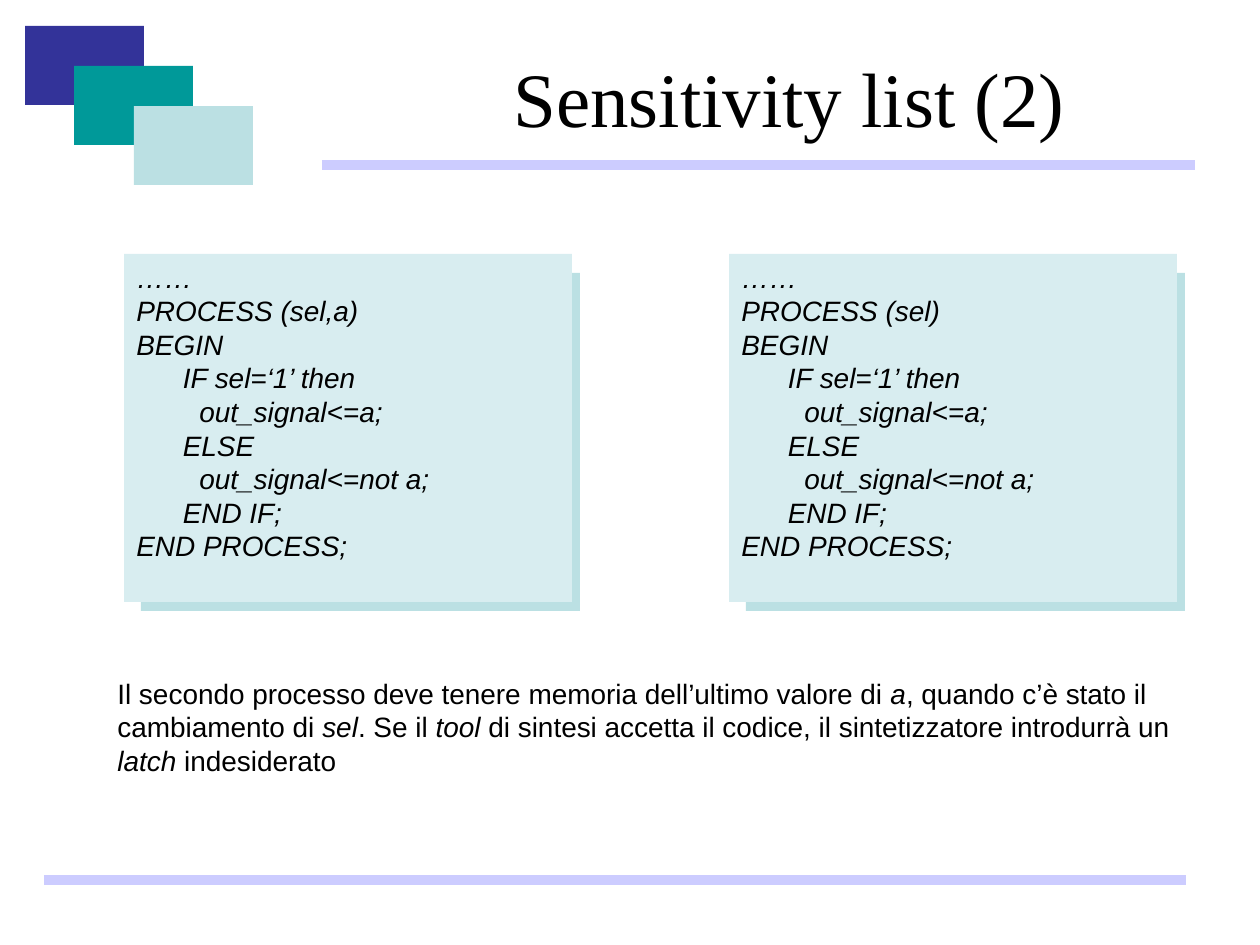
"""Build the "Sensitivity list (2)" slide comparing two VHDL processes."""
from dataclasses import dataclass

from lxml import etree
from pptx import Presentation
from pptx.dml.color import RGBColor
from pptx.enum.shapes import MSO_CONNECTOR, MSO_SHAPE
from pptx.enum.text import MSO_ANCHOR, PP_ALIGN
from pptx.oxml.ns import qn
from pptx.shapes.shapetree import GroupShapes, SlideShapes
from pptx.text.text import TextFrame, _Paragraph
from pptx.util import Emu, Pt

RECTANGLE = MSO_SHAPE.RECTANGLE
STRAIGHT = MSO_CONNECTOR.STRAIGHT
TOP, MIDDLE = MSO_ANCHOR.TOP, MSO_ANCHOR.MIDDLE
CENTER = PP_ALIGN.CENTER

BLACK = RGBColor(0x00, 0x00, 0x00)
NAVY = RGBColor(0x33, 0x33, 0x99)
TEAL = RGBColor(0x00, 0x99, 0x99)
AQUA = RGBColor(0xBB, 0xE0, 0xE3)
PALE_AQUA = RGBColor(0xD8, 0xED, 0xF0)
LAVENDER = RGBColor(0xCC, 0xCC, 0xFF)

PX_PER_INCH = 126
SANS, SERIF = "Arial", "Times New Roman"
PANEL_TOP = 254


@dataclass(frozen=True)
class Area:
    left: int
    top: int
    width: int
    height: int


@dataclass(frozen=True)
class Block:
    area: Area
    color: RGBColor


@dataclass(frozen=True)
class Rule:
    left: int
    right: int
    y: int


@dataclass(frozen=True)
class CodePanel:
    left: int
    sensitivity: str


@dataclass(frozen=True)
class Span:
    text: str
    italic: bool = False


CORNER_BLOCKS = [
    Block(Area(25, 26, 119, 79), NAVY),
    Block(Area(74, 66, 119, 79), TEAL),
    Block(Area(134, 106, 119, 79), AQUA),
]
RULES = [Rule(322, 1195, 165), Rule(44, 1186, 880)]
CODE_PANELS = [CodePanel(124, "sel,a"), CodePanel(729, "sel")]
TITLE_AREA = Area(382, 38, 815, 117)
NOTE_AREA = Area(105, 670, 1111, 113)
NOTE = [
    Span("Il secondo processo deve tenere memoria dell’ultimo valore di "),
    Span("a", True),
    Span(", quando c’è stato il cambiamento di "),
    Span("sel", True),
    Span(". Se il "),
    Span("tool", True),
    Span(" di sintesi accetta il codice, il sintetizzatore introdurrà un "),
    Span("latch", True),
    Span(" indesiderato"),
]


def px(length: int) -> Emu:
    return Emu(round(length * 914400 / PX_PER_INCH))


def place(area: Area) -> tuple[Emu, Emu, Emu, Emu]:
    return px(area.left), px(area.top), px(area.width), px(area.height)


def draw_block(shapes: SlideShapes | GroupShapes, block: Block) -> None:
    box = shapes.add_shape(RECTANGLE, *place(block.area))
    box.shadow.inherit = False
    box.fill.solid()
    box.fill.fore_color.rgb = block.color
    box.line.fill.background()


def draw_rule(shapes: SlideShapes, rule: Rule) -> None:
    line = shapes.add_connector(
        STRAIGHT, px(rule.left), px(rule.y), px(rule.right), px(rule.y))
    line.line.color.rgb = LAVENDER
    line.line.width = Pt(6)
    etree.SubElement(line._element.spPr, qn("a:effectLst"))


def add_text_frame(shapes: SlideShapes | GroupShapes, area: Area,
                   anchor: MSO_ANCHOR = TOP) -> TextFrame:
    frame = shapes.add_textbox(*place(area)).text_frame
    frame.word_wrap = True
    frame.vertical_anchor = anchor
    return frame


def add_span(para: _Paragraph, span: Span, font: str = SANS, size: int = 16) -> None:
    run = para.add_run()
    run.text = span.text
    run.font.name = font
    run.font.size = Pt(size)
    run.font.italic = span.italic
    run.font.color.rgb = BLACK


def code_lines(sensitivity: str) -> list[str]:
    return [
        "……",
        f"PROCESS ({sensitivity})",
        "BEGIN",
        "      IF sel=‘1’ then",
        "\tout_signal<=a;",
        "      ELSE",
        "\tout_signal<=not a;",
        "      END IF;",
        "END PROCESS;",
    ]


def draw_code_panel(shapes: SlideShapes, panel: CodePanel) -> None:
    group = shapes.add_group_shape().shapes
    draw_block(group, Block(Area(panel.left + 17, PANEL_TOP + 19, 439, 338), AQUA))
    draw_block(group, Block(Area(panel.left, PANEL_TOP, 448, 348), PALE_AQUA))
    frame = add_text_frame(group, Area(panel.left, PANEL_TOP, 437, 315))
    for index, line in enumerate(code_lines(panel.sensitivity)):
        para = frame.add_paragraph() if index else frame.paragraphs[0]
        add_span(para, Span(line, True))


def main() -> None:
    deck = Presentation()
    deck.slide_width, deck.slide_height = px(1260), px(945)
    page = deck.slides.add_slide(deck.slide_layouts[6])
    shapes = page.shapes

    title = add_text_frame(shapes, TITLE_AREA, MIDDLE).paragraphs[0]
    title.alignment = CENTER
    add_span(title, Span("Sensitivity list (2)"), SERIF, 44)

    for block in CORNER_BLOCKS:
        draw_block(shapes, block)
    for rule in RULES:
        draw_rule(shapes, rule)

    note = add_text_frame(shapes, NOTE_AREA).paragraphs[0]
    for span in NOTE:
        add_span(note, span)

    for panel in CODE_PANELS:
        draw_code_panel(shapes, panel)

    deck.save("out.pptx")


if __name__ == "__main__":
    main()
